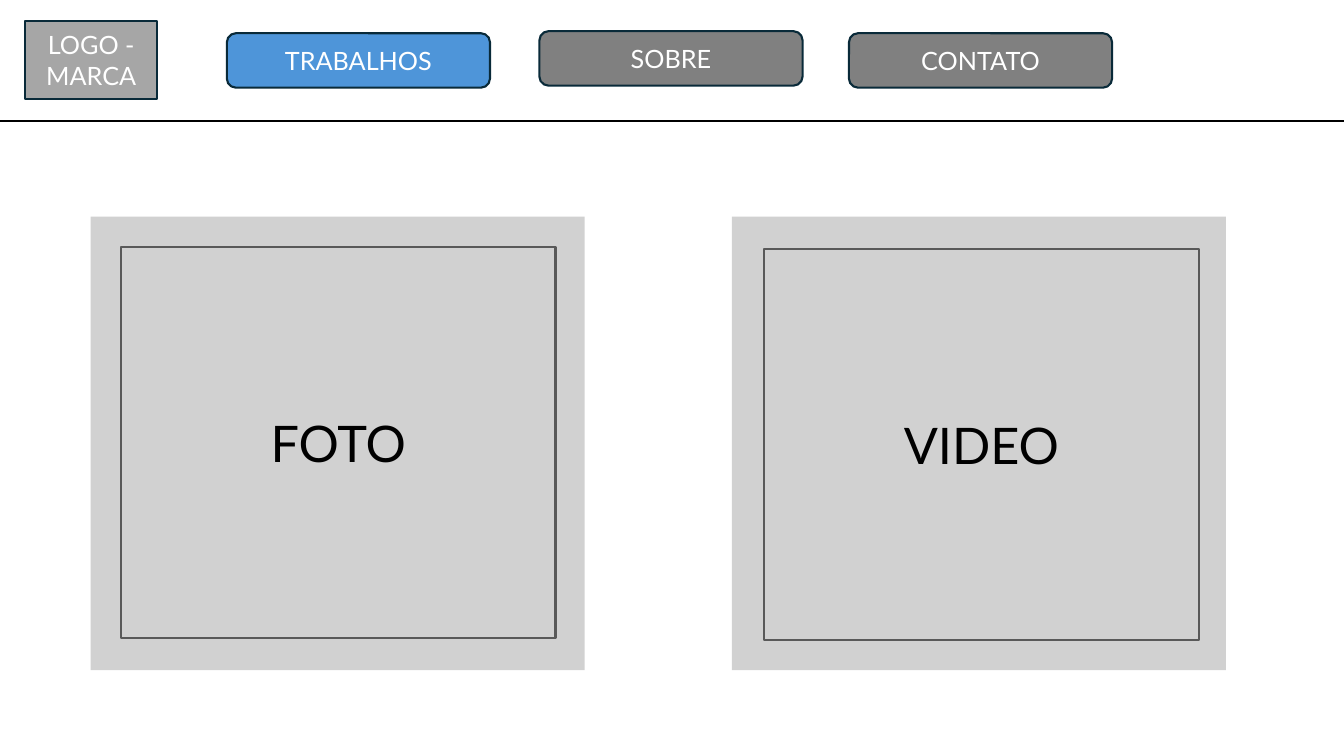
from dataclasses import dataclass
from typing import Optional

import pptx
import pptx.dml.color
import pptx.enum.shapes
import pptx.enum.text
import pptx.util

Inches = pptx.util.Inches
Kind = pptx.enum.shapes.MSO_SHAPE


@dataclass(frozen=True)
class Theme:
    font: str = "Lato"
    menu_size: int = 18
    card_size: int = 36
    thin_line: float = 1
    line: float = 1.5
    white: str = "FFFFFF"
    black: str = "000000"
    logo: str = "A6A6A6"
    active: str = "4E95D9"
    inactive: str = "808080"
    card: str = "D1D1D1"
    frame: str = "595959"
    outline: str = "092A39"


THEME = Theme()


@dataclass(frozen=True)
class Button:
    label: str
    left: float
    top: float
    fill: str


@dataclass(frozen=True)
class Card:
    label: str
    left: float
    frame_left: float
    frame_top: float


BUTTONS = [
    Button("TRABALHOS", 2.25, 0.33, THEME.active),
    Button("SOBRE", 5.35, 0.31, THEME.inactive),
    Button("CONTATO", 8.42, 0.33, THEME.inactive),
]
CARDS = [
    Card("FOTO", 0.9, 1.2, 2.45),
    Card("VIDEO", 7.26, 7.58, 2.47),
]


def rgb(value: str) -> pptx.dml.color.RGBColor:
    return pptx.dml.color.RGBColor.from_string(value)


def write_text(shape, text: str, *, size: float, color: str) -> None:
    """Put centred text in a shape."""
    frame = shape.text_frame
    frame.word_wrap = True
    frame.vertical_anchor = pptx.enum.text.MSO_ANCHOR.MIDDLE
    paragraph = frame.paragraphs[0]
    paragraph.alignment = pptx.enum.text.PP_ALIGN.CENTER
    run = paragraph.add_run()
    run.text = text
    run.font.name = THEME.font
    run.font.size = pptx.util.Pt(size)
    run.font.color.rgb = rgb(color)


def add_box(slide, left: float, top: float, width: float, height: float, *,
            fill: str, line: Optional[str] = None, weight: float = THEME.line,
            kind: Kind = Kind.RECTANGLE):
    """Draw a filled shape, outlined when a line colour is given."""
    shape = slide.shapes.add_shape(
        kind, Inches(left), Inches(top), Inches(width), Inches(height))
    shape.shadow.inherit = False
    shape.fill.solid()
    shape.fill.fore_color.rgb = rgb(fill)
    if line:
        shape.line.color.rgb = rgb(line)
        shape.line.width = pptx.util.Pt(weight)
    else:
        shape.line.fill.background()
    return shape


def add_button(slide, button: Button) -> None:
    shape = add_box(slide, button.left, button.top, 2.61, 0.54, fill=button.fill,
                    line=THEME.outline, kind=Kind.ROUNDED_RECTANGLE)
    write_text(shape, button.label, size=THEME.menu_size, color=THEME.white)


def add_card(slide, card: Card) -> None:
    add_box(slide, card.left, 2.15, 4.9, 4.5, fill=THEME.card)
    frame = add_box(slide, card.frame_left, card.frame_top, 4.31, 3.88,
                    fill=THEME.card, line=THEME.frame)
    write_text(frame, card.label, size=THEME.card_size, color=THEME.black)


def main() -> None:
    presentation = pptx.Presentation()
    presentation.slide_width = Inches(13.33)
    presentation.slide_height = Inches(7.5)
    slide = presentation.slides.add_slide(presentation.slide_layouts[6])

    # Header bar and logo box
    add_box(slide, -0.01, -0.02, 13.35, 1.22, fill=THEME.white,
            line=THEME.black, weight=THEME.thin_line)
    logo = add_box(slide, 0.25, 0.21, 1.31, 0.77, fill=THEME.logo, line=THEME.outline)
    write_text(logo, "LOGO - MARCA", size=THEME.menu_size, color=THEME.white)

    # Content cards
    for card in CARDS:
        add_card(slide, card)

    # Navigation menu
    for button in BUTTONS:
        add_button(slide, button)

    presentation.save("out.pptx")


if __name__ == "__main__":
    main()
